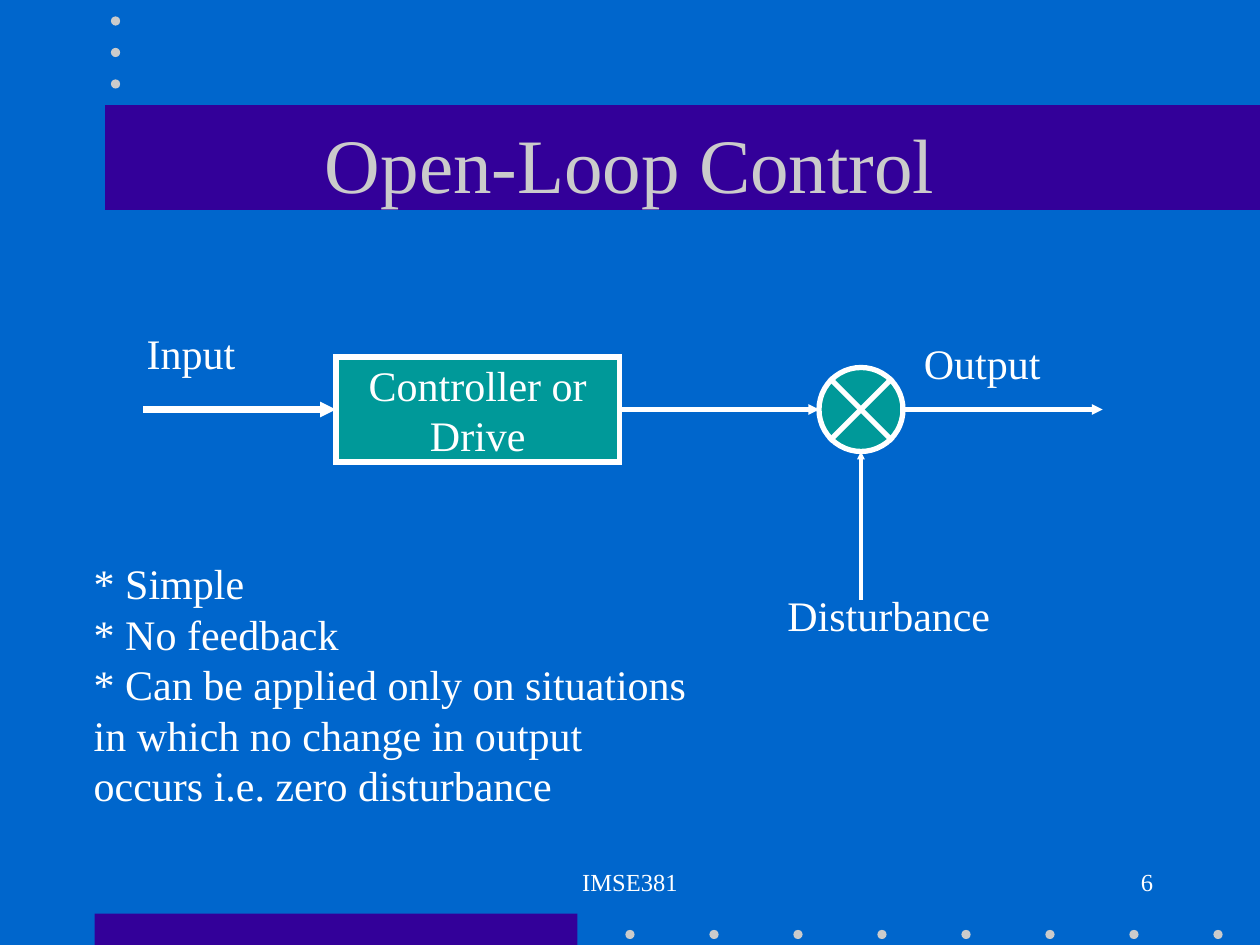
from lxml.etree import SubElement
from pptx import Presentation
from pptx.dml.color import RGBColor
from pptx.enum.shapes import MSO_CONNECTOR, MSO_SHAPE
from pptx.enum.text import MSO_ANCHOR, MSO_AUTO_SIZE, PP_ALIGN
from pptx.oxml.ns import qn
from pptx.util import Pt

BACKGROUND, BAND, DOT, BLOCK, WHITE = "0066CC", "330099", "CBCBCB", "009999", "FFFFFF"
DOT_SIZE = 5.25


def color(hex_string):
    return RGBColor.from_string(hex_string)


def set_attributes(target, values):
    for name, value in values.items():
        setattr(target, name, value)


def write_text(frame, lines, size=24, text_color=WHITE, align=PP_ALIGN.LEFT, **frame_format):
    set_attributes(frame, frame_format)
    for index, line in enumerate(lines):
        paragraph = frame.paragraphs[0] if index == 0 else frame.add_paragraph()
        paragraph.text = line
        paragraph.alignment = align
        set_attributes(paragraph.font, {"name": "Times New Roman", "size": Pt(size)})
        paragraph.font.color.rgb = color(text_color)


def add_text(slide, box, lines, **text_format):
    label = slide.shapes.add_textbox(*map(Pt, box))
    write_text(label.text_frame, lines, **text_format)


def draw_line(line, width):
    """White line with square ends and sharp corners."""
    line.color.rgb = color(WHITE)
    line.width = Pt(width)
    line_xml = line._get_or_add_ln()
    line_xml.set("cap", "sq")
    SubElement(line_xml, qn("a:miter"), lim="800000")
    return line_xml


def add_filled(slide, preset, box, fill, outline=None):
    figure = slide.shapes.add_shape(preset, *map(Pt, box))
    figure.shadow.inherit = False
    figure.fill.solid()
    figure.fill.fore_color.rgb = color(fill)
    if outline:
        draw_line(figure.line, outline)
    else:
        figure.line.fill.background()
    return figure


def add_dot(slide, center_x, center_y):
    box = (center_x - DOT_SIZE / 2, center_y - DOT_SIZE / 2, DOT_SIZE, DOT_SIZE)
    add_filled(slide, MSO_SHAPE.OVAL, box, DOT)


def add_arrow(slide, start, end, width):
    arrow = slide.shapes.add_connector(MSO_CONNECTOR.STRAIGHT, *map(Pt, start + end))
    line_xml = draw_line(arrow.line, width)
    SubElement(line_xml, qn("a:tailEnd"), type="triangle", w="sm", len="sm")
    SubElement(arrow._element.spPr, qn("a:effectLst"))
    return arrow


def add_decoration(slide):
    # Bottom band and row of dots
    add_filled(slide, MSO_SHAPE.RECTANGLE, (54, 522, 276, 18), BAND)
    for column in range(8):
        add_dot(slide, 360 + 48 * column, 534)
    # Title band and column of dots
    add_filled(slide, MSO_SHAPE.RECTANGLE, (60, 60, 660, 60), BAND)
    for row in range(3):
        add_dot(slide, 66, 12 + 18 * row)


def add_diagram(slide):
    axis = 234
    # Controller block and summing junction
    controller = add_filled(slide, MSO_SHAPE.RECTANGLE, (192, axis - 30, 162, 60), BLOCK, 3)
    write_text(controller.text_frame, ["Controller or", "Drive"], align=PP_ALIGN.CENTER,
               word_wrap=False, vertical_anchor=MSO_ANCHOR.MIDDLE)
    add_filled(slide, MSO_SHAPE.FLOWCHART_SUMMING_JUNCTION, (468, axis - 24, 48, 48), BLOCK, 3)

    # Signal arrows
    input_arrow = add_arrow(slide, (84, axis), (192, axis), 4.5)
    input_arrow.end_connect(controller, 1)
    control_arrow = add_arrow(slide, (354, axis), (468, axis), 3)
    control_arrow.begin_connect(controller, 3)
    add_arrow(slide, (516, axis), (630, axis), 3)
    add_arrow(slide, (492, 342), (492, axis + 24), 2.25)

    # Signal labels
    for caption, left, top, width in (
        ("Input", 76.8, 183.75, 66),
        ("Output", 520.8, 189.5, 82),
        ("Disturbance", 442.8, 333.5, 132),
    ):
        add_text(slide, (left, top, width, 36), [caption], word_wrap=False,
                 auto_size=MSO_AUTO_SIZE.SHAPE_TO_FIT_TEXT)


def main():
    presentation = Presentation()
    presentation.slide_width, presentation.slide_height = Pt(720), Pt(540)
    slide = presentation.slides.add_slide(presentation.slide_layouts[6])
    slide.background.fill.solid()
    slide.background.fill.fore_color.rgb = color(BACKGROUND)

    add_decoration(slide)

    # Title
    add_text(slide, (54, 48, 612, 90), ["Open-Loop Control"], size=44, text_color=DOT,
             align=PP_ALIGN.CENTER, word_wrap=True, vertical_anchor=MSO_ANCHOR.MIDDLE)

    add_diagram(slide)

    # Properties of open-loop control
    add_text(slide, (46.5, 315.25, 360, 151), [
        "* Simple",
        "* No feedback",
        "* Can be applied only on situations",
        "in which no change in output",
        "occurs i.e. zero disturbance",
    ], word_wrap=False, auto_size=MSO_AUTO_SIZE.SHAPE_TO_FIT_TEXT)

    # Footer and page number
    add_text(slide, (246, 492, 228, 36), ["IMSE381"], size=14,
             align=PP_ALIGN.CENTER, word_wrap=True)
    add_text(slide, (516, 492, 150, 36), ["6"], size=14,
             align=PP_ALIGN.RIGHT, word_wrap=True)

    presentation.save("out.pptx")


if __name__ == "__main__":
    main()
